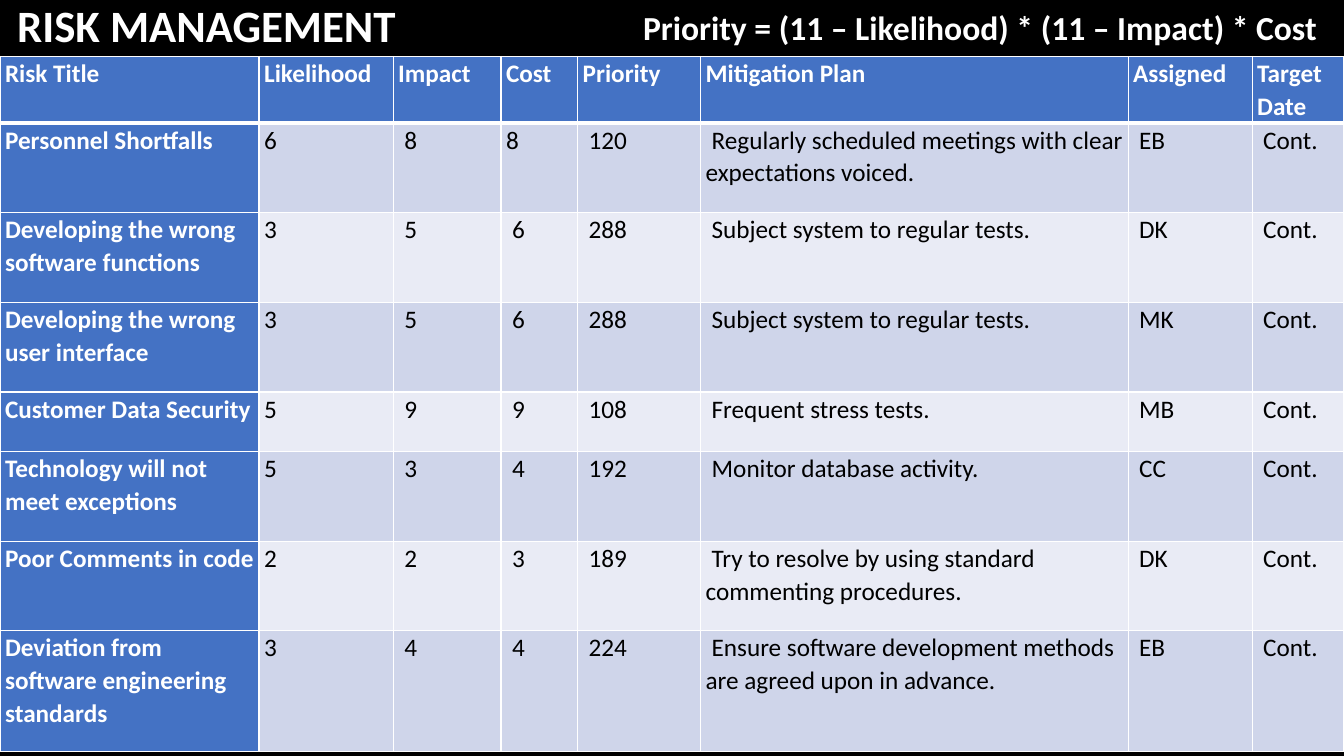
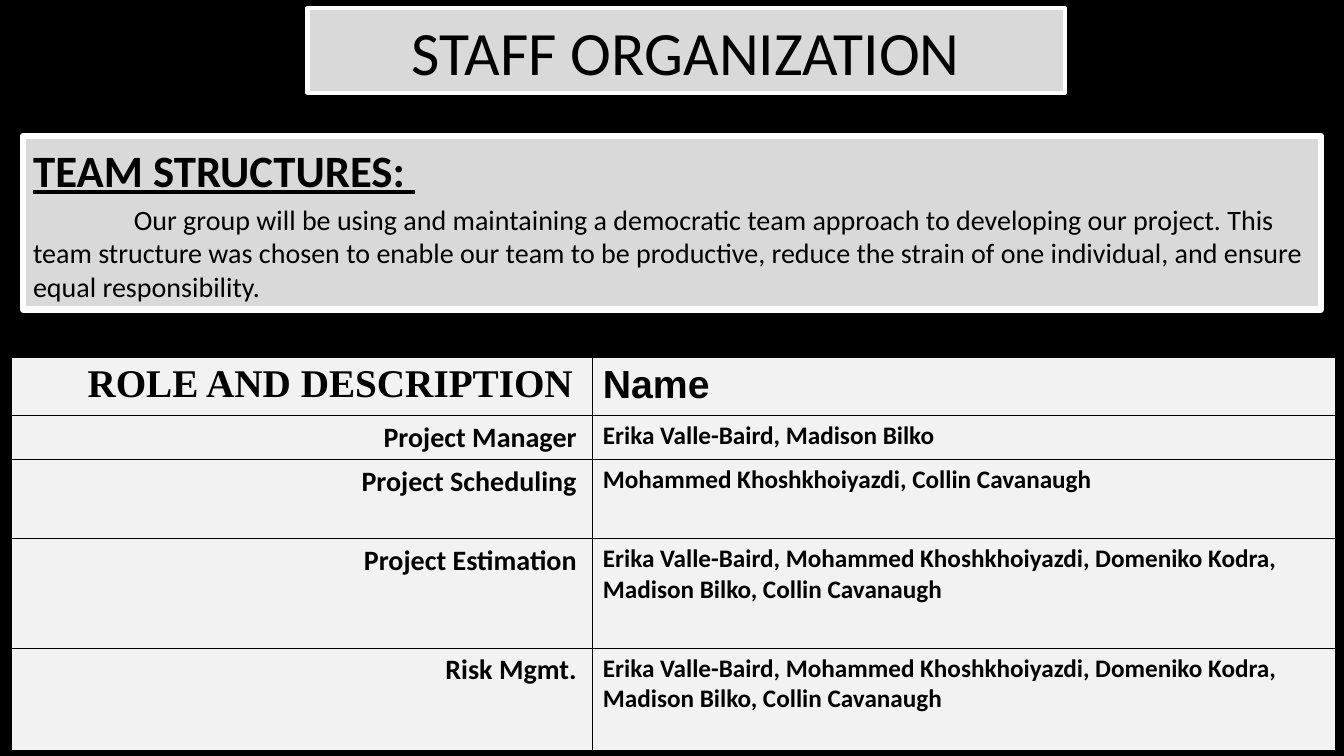
from dataclasses import dataclass

from lxml import etree
from pptx import Presentation
from pptx import util as u
from pptx.dml import color
from pptx.enum import shapes, text
from pptx.oxml import ns


@dataclass(frozen=True)
class Theme:
    black: str = "000000"
    white: str = "FFFFFF"
    header: str = "4472C4"
    bands: tuple = ("CFD5EA", "E9EBF5")
    panel: str = "D9D9D9"
    paper: str = "F2F2F2"
    font: str = "Calibri"
    banner: int = 44
    heading: int = 32
    table_heading: int = 28
    formula: int = 24
    body: int = 20
    small: int = 18


THEME = Theme()
LEFT, CENTER, RIGHT = text.PP_ALIGN.LEFT, text.PP_ALIGN.CENTER, text.PP_ALIGN.RIGHT

RISK_TITLE = "RISK MANAGEMENT"
PRIORITY_FORMULA = "Priority = (11 – Likelihood) * (11 – Impact) * Cost"
RISKS = [
    ("Risk Title", "Likelihood", "Impact", "Cost", "Priority", "Mitigation Plan", "Assigned",
     "Target Date"),
    ("Personnel Shortfalls", "6", "8", "8", "120",
     "Regularly scheduled meetings with clear expectations voiced.", "EB", "Cont."),
    ("Developing the wrong software functions", "3", "5", "6", "288",
     "Subject system to regular tests.", "DK", "Cont."),
    ("Developing the wrong user interface", "3", "5", "6", "288",
     "Subject system to regular tests.", "MK", "Cont."),
    ("Customer Data Security", "5", "9", "9", "108", "Frequent stress tests.", "MB", "Cont."),
    ("Technology will not meet exceptions", "5", "3", "4", "192",
     "Monitor database activity.", "CC", "Cont."),
    ("Poor Comments in code", "2", "2", "3", "189",
     "Try to resolve by using standard commenting procedures.", "DK", "Cont."),
    ("Deviation from software engineering standards", "3", "4", "4", "224",
     "Ensure software development methods are agreed upon in advance.", "EB", "Cont."),
]
RISK_COLUMNS = [2.57, 1.33, 1.07, 0.76, 1.22, 4.24, 1.23, 0.91]
RISK_ROWS = [0.66, 0.89, 0.89, 0.89, 0.59, 0.89, 0.89, 1.2]
FIRST_INDENTED_COLUMN = 2
FLUSH_CELLS = {(1, 3)}

STAFF_TITLE = "STAFF ORGANIZATION"
TEAM_HEADING = "TEAM STRUCTURES: "
TEAM_TEXT = (
    "Our group will be using and maintaining a democratic team approach to developing our "
    "project. This team structure was chosen to enable our team to be productive, reduce the "
    "strain of one individual, and ensure equal responsibility."
)
EVERYONE = ("Erika Valle-Baird, Mohammed Khoshkhoiyazdi, Domeniko Kodra, "
            "Madison Bilko, Collin Cavanaugh")
ROLES = [
    ("ROLE AND DESCRIPTION", "Name"),
    ("Project Manager", "Erika Valle-Baird, Madison Bilko"),
    ("Project Scheduling", "Mohammed Khoshkhoiyazdi, Collin Cavanaugh"),
    ("Project Estimation", EVERYONE),
    ("Risk Mgmt.", EVERYONE),
]
ROLE_COLUMNS = [5.77, 7.37]
ROLE_ROWS = [0.57, 0.43, 0.78, 1.09, 1.02]
ROLE_HEADER_FONTS = ("Times New Roman", "Arial")


def rgb(value):
    return color.RGBColor.from_string(value)


def style(paragraph, size, ink, bold=False, align=LEFT, font=THEME.font, underline=False):
    paragraph.alignment = align
    for run in paragraph.runs:
        run.font.name, run.font.size = font, u.Pt(size)
        run.font.bold, run.font.underline = bold, underline
        run.font.color.rgb = rgb(ink)


def indent_first_line(paragraph, inches):
    properties = paragraph._p.get_or_add_pPr()
    properties.set("marL", "0")
    properties.set("indent", str(u.Inches(inches)))


def place(part, left, top, width, height):
    part.left, part.top = u.Inches(left), u.Inches(top)
    part.width, part.height = u.Inches(width), u.Inches(height)


def paint_panel(part, line_width):
    part.fill.solid()
    part.fill.fore_color.rgb = rgb(THEME.panel)
    part.line.color.rgb = rgb(THEME.white)
    part.line.width = u.Pt(line_width)


def add_titled_slide(prs, title, box, size, ink, bold=False, align=LEFT):
    slide = prs.slides.add_slide(prs.slide_layouts[5])
    heading = slide.shapes.title
    place(heading, *box)
    frame = heading.text_frame
    frame.text = title
    frame.auto_size = text.MSO_AUTO_SIZE.NONE
    frame.vertical_anchor = text.MSO_ANCHOR.MIDDLE
    style(frame.paragraphs[0], size, ink, bold, align)
    return slide


def finish_cell(cell, fill, border, top=1, bottom=1):
    """Draw the four borders, then the fill, in the order the format requires."""
    properties = cell._tc.get_or_add_tcPr()
    for side, width in (("L", 1), ("R", 1), ("T", top), ("B", bottom)):
        line = etree.SubElement(properties, ns.qn(f"a:ln{side}"), w=str(u.Pt(width)))
        solid = etree.SubElement(line, ns.qn("a:solidFill"))
        etree.SubElement(solid, ns.qn("a:srgbClr"), val=border)
    cell.fill.solid()
    cell.fill.fore_color.rgb = rgb(fill)


def add_grid(slide, left, top, columns, rows, content):
    """Add a filled-in table and yield each cell with its row and column."""
    table = slide.shapes.add_table(
        len(rows), len(columns), u.Inches(left), u.Inches(top),
        u.Inches(sum(columns)), u.Inches(sum(rows))).table
    for column, width in zip(table.columns, columns):
        column.width = u.Inches(width)
    for row, height in zip(table.rows, rows):
        row.height = u.Inches(height)
    for r, entries in enumerate(content):
        for c, entry in enumerate(entries):
            cell = table.cell(r, c)
            cell.text_frame.text = entry
            yield r, c, cell


def build_risk_slide(prs):
    slide = add_titled_slide(prs, RISK_TITLE, (0.07, -0.08, 5.73, 0.64),
                             THEME.heading, THEME.white, bold=True)
    for r, c, cell in add_grid(slide, 0, 0.56, RISK_COLUMNS, RISK_ROWS, RISKS):
        label = r == 0 or c == 0
        cell.margin_left = cell.margin_right = u.Inches(0.05)
        cell.margin_top = cell.margin_bottom = 0
        paragraph = cell.text_frame.paragraphs[0]
        paragraph.line_spacing, paragraph.space_after = 1.07, u.Pt(8)
        style(paragraph, THEME.small, THEME.white if label else THEME.black, bold=label)
        if r > 0 and c >= FIRST_INDENTED_COLUMN and (r, c) not in FLUSH_CELLS:
            indent_first_line(paragraph, 0.06)
        finish_cell(cell, THEME.header if label else THEME.bands[(r - 1) % 2], THEME.white,
                    top=3 if r == 1 else 1, bottom=3 if r == 0 else 1)

    formula = slide.shapes.add_textbox(u.Inches(6.28), u.Inches(0.02),
                                       u.Inches(6.95), u.Inches(0.5)).text_frame
    formula.word_wrap = True
    formula.text = PRIORITY_FORMULA
    style(formula.paragraphs[0], THEME.formula, THEME.white, bold=True)


def build_staff_slide(prs):
    slide = add_titled_slide(prs, STAFF_TITLE, (3.05, 0.08, 7.51, 0.84),
                             THEME.banner, THEME.black, align=CENTER)
    paint_panel(slide.shapes.title, 3)

    for r, c, cell in add_grid(slide, 0.11, 3.55, ROLE_COLUMNS, ROLE_ROWS, ROLES):
        is_role = c == 0
        if r == 0:
            size, font = THEME.table_heading, ROLE_HEADER_FONTS[c]
        else:
            size, font = (THEME.body if is_role else THEME.small), THEME.font
        if is_role:
            cell.margin_right = u.Inches(0.2 if r == 0 else 0.16)
        style(cell.text_frame.paragraphs[0], size, THEME.black, bold=True,
              align=RIGHT if is_role else LEFT, font=font)
        finish_cell(cell, THEME.paper, THEME.black)

    team = slide.shapes.add_shape(shapes.MSO_SHAPE.RECTANGLE, u.Inches(0.23), u.Inches(1.35),
                                  u.Inches(12.87), u.Inches(1.72))
    team.shadow.inherit = False
    paint_panel(team, 4.5)
    frame = team.text_frame
    frame.word_wrap = True
    frame.vertical_anchor = text.MSO_ANCHOR.MIDDLE
    frame.text = TEAM_HEADING
    style(frame.paragraphs[0], THEME.heading, THEME.black, bold=True, underline=True)
    approach = frame.add_paragraph()
    approach.text = TEAM_TEXT
    approach.space_before = u.Pt(4)
    indent_first_line(approach, 1)
    style(approach, THEME.body, THEME.black)


def main():
    prs = Presentation()
    prs.slide_width, prs.slide_height = u.Inches(13.33), u.Inches(7.5)
    backdrop = prs.slide_master.background.fill
    backdrop.solid()
    backdrop.fore_color.rgb = rgb(THEME.black)
    build_risk_slide(prs)
    build_staff_slide(prs)
    prs.save("out.pptx")


if __name__ == "__main__":
    main()
